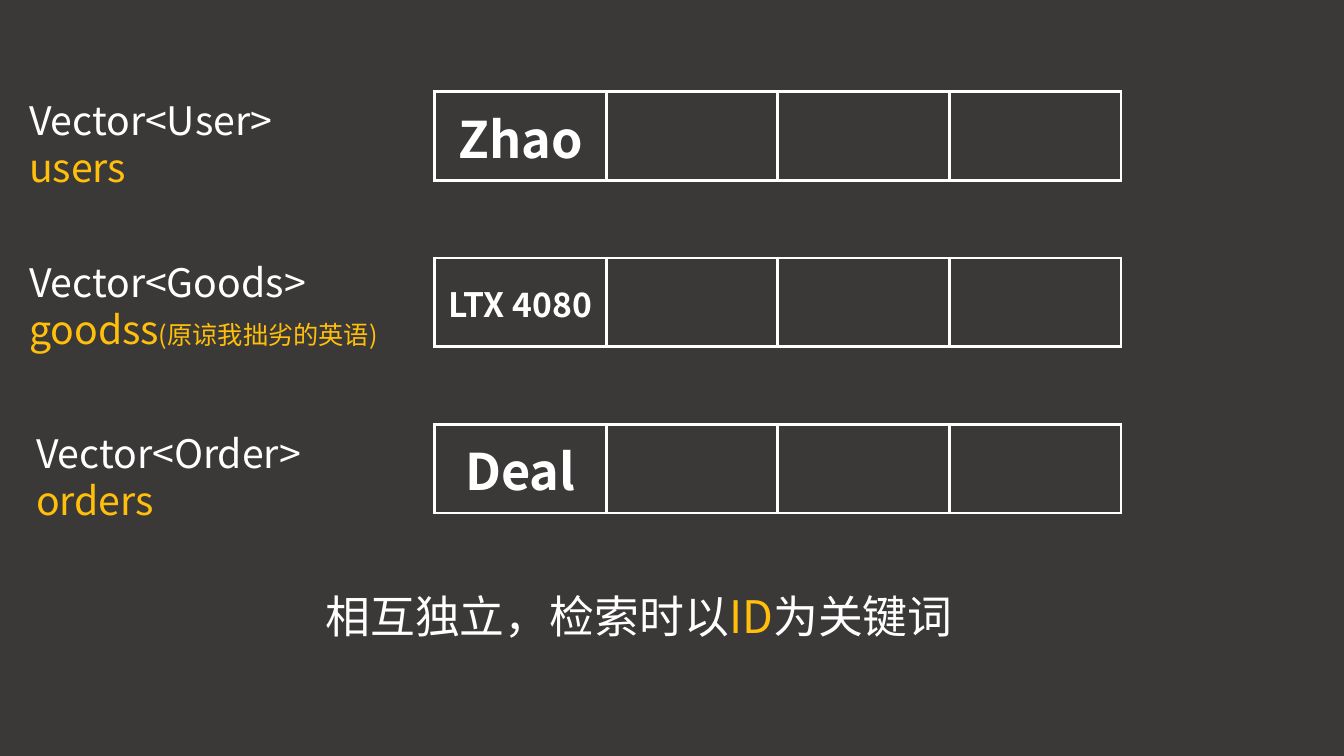
from lxml.etree import SubElement as Sub
from pptx import Presentation
from pptx.dml.color import RGBColor as Rgb
from pptx.enum.text import MSO_ANCHOR as Anchor, MSO_AUTO_SIZE as Fit, PP_ALIGN as Align
from pptx.oxml.ns import qn
from pptx.util import Inches, Pt

FONT = "Noto Sans CJK SC"
DARK = Rgb(0x3B, 0x38, 0x38)
WHITE = Rgb(0xFF, 0xFF, 0xFF)
GOLD = Rgb(0xFF, 0xBF, 0x0B)
SLOTS = 4


def write(para, runs):
    """Fill a paragraph with (text, size, colour) runs in the slide font."""
    para.font.name = FONT
    base = para._p.pPr.find(qn("a:defRPr"))
    Sub(base, qn("a:ea"), typeface=FONT)
    for text, size, color in runs:
        run = para.add_run()
        run.text = text
        run.font.size = Pt(size)
        run.font.color.rgb = color


def add_text(slide, left, top, width, height, lines):
    """Add a wrapping text box with one paragraph per list of runs."""
    box = slide.shapes.add_textbox(Inches(left), Inches(top), Inches(width), Inches(height))
    frame = box.text_frame
    frame.word_wrap = True
    frame.auto_size = Fit.SHAPE_TO_FIT_TEXT
    for i, runs in enumerate(lines):
        write(frame.paragraphs[0] if i == 0 else frame.add_paragraph(), runs)


def add_edges(cell):
    """Draw white borders round a cell that has no fill."""
    props = cell._tc.get_or_add_tcPr()
    for side in ("lnL", "lnR", "lnT", "lnB"):
        line = Sub(props, qn(f"a:{side}"), w=str(Pt(2.25)))
        fill = Sub(line, qn("a:solidFill"))
        Sub(fill, qn("a:srgbClr"), val=str(WHITE))
    cell.fill.background()


def add_vector(slide, top, first, size):
    """Add a one-row table of slots with the first one filled."""
    table = slide.shapes.add_table(
        1, SLOTS, Inches(4.31), Inches(top), Inches(6.81), Inches(0.88)).table
    table.first_row = table.horz_banding = False
    for cell in table.iter_cells():
        add_edges(cell)
    head = table.cell(0, 0)
    head.vertical_anchor = Anchor.MIDDLE
    para = head.text_frame.paragraphs[0]
    para.alignment = Align.CENTER
    para.font.bold = True
    write(para, [(first, size, WHITE)])


def main():
    """Build the slide and save it."""
    deck = Presentation()
    deck.slide_width, deck.slide_height = Inches(13.33), Inches(7.5)
    slide = deck.slides.add_slide(deck.slide_layouts[6])
    slide.background.fill.solid()
    slide.background.fill.fore_color.rgb = DARK

    vectors = [
        ("Zhao", 36, 0.19, 0.91, "User", [("users", 28, GOLD)]),
        ("LTX 4080", 24, 0.19, 2.51, "Goods",
         [("goodss", 28, GOLD), ("(原谅我拙劣的英语)", 18, GOLD)]),
        ("Deal", 36, 0.26, 4.21, "Order", [("orders", 28, GOLD)]),
    ]
    for i, (first, size, left, top, kind, name) in enumerate(vectors):
        add_vector(slide, 0.91 + 1.65 * i, first, size)
        add_text(slide, left, top, 4.05, 1.04, [[(f"Vector<{kind}>", 28, WHITE)], name])

    add_text(slide, 3.13, 5.79, 6.52, 0.64, [[
        ("相互独立，检索时以", 32, WHITE), ("ID", 32, GOLD), ("为关键词", 32, WHITE)]])
    deck.save("out.pptx")


main()
